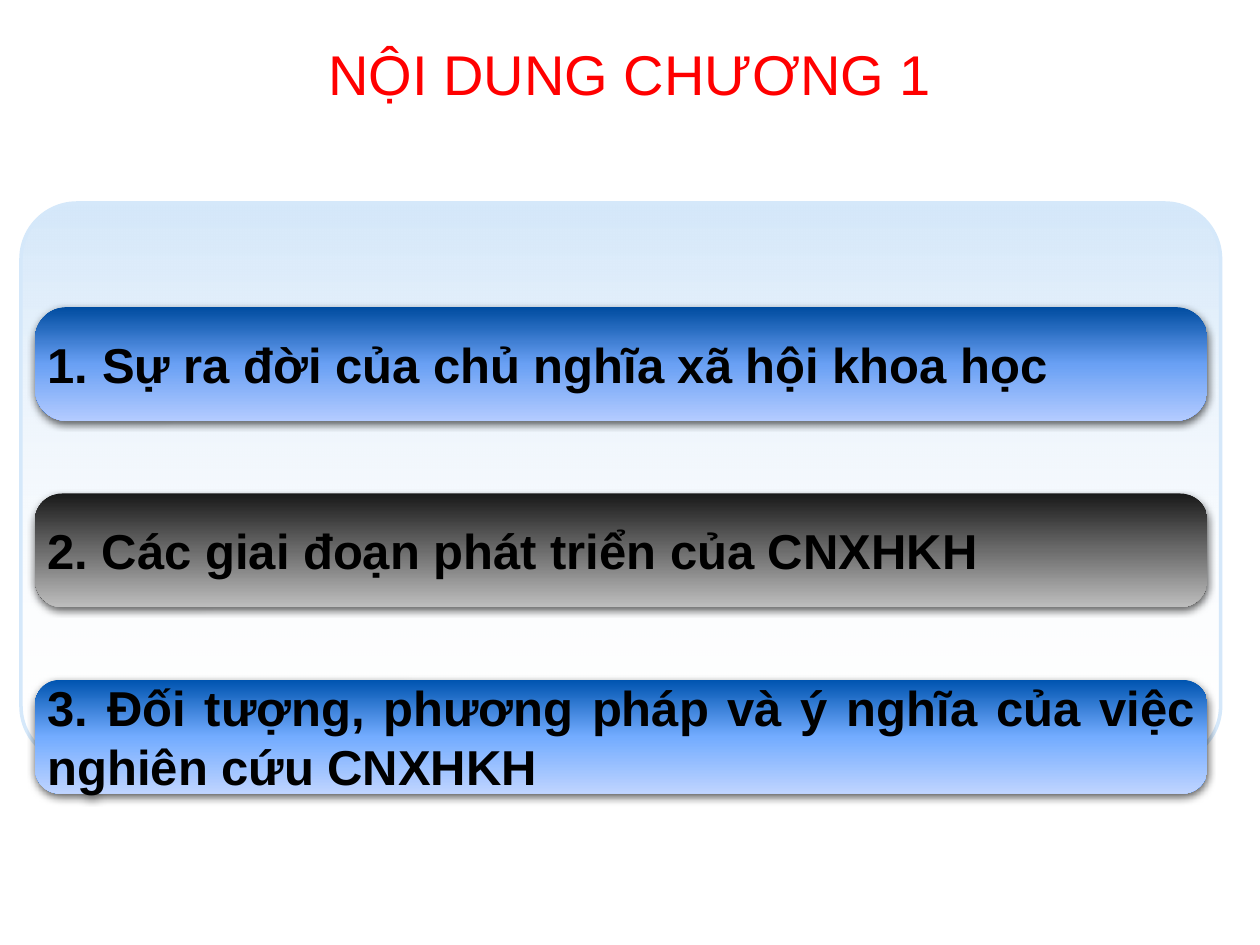
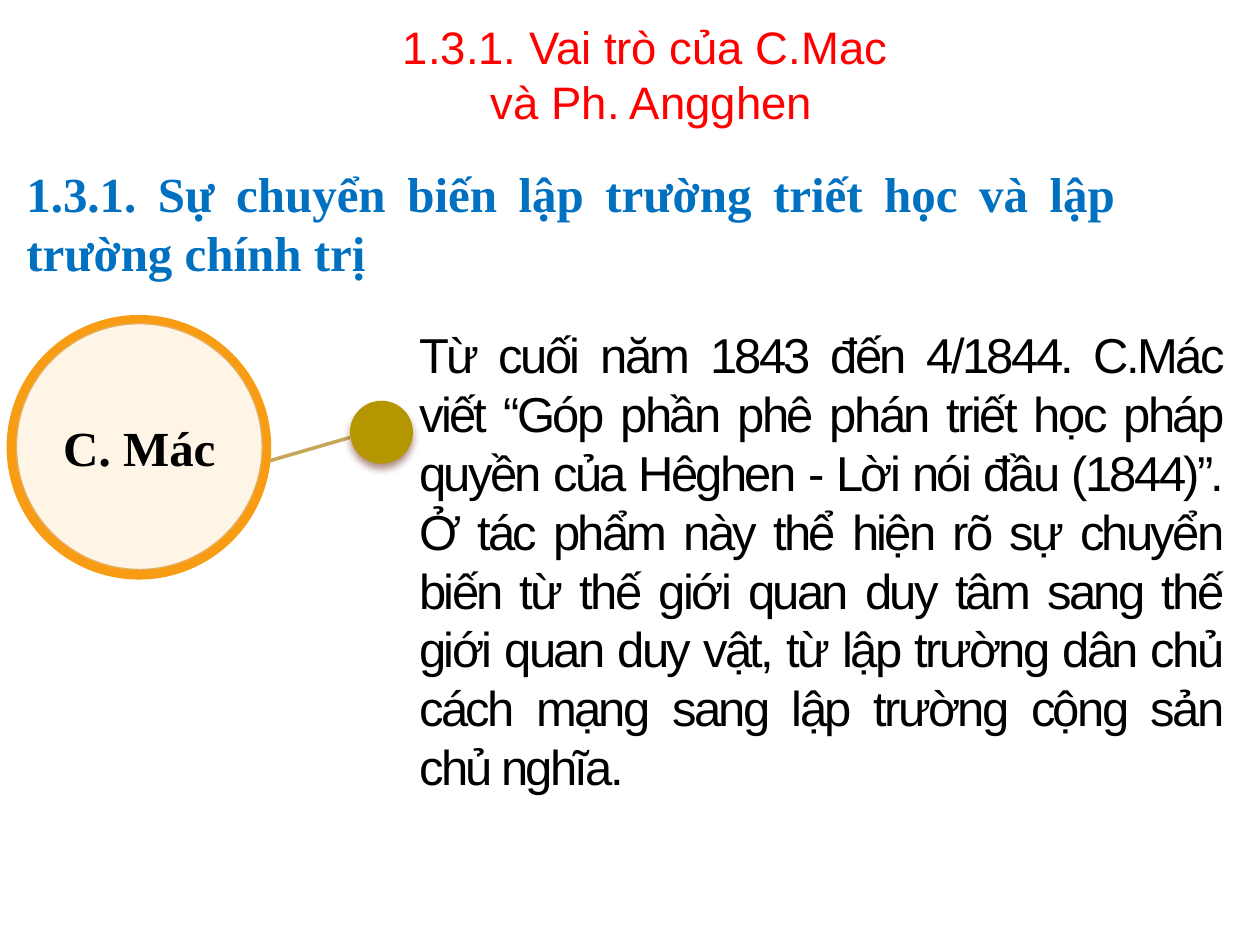
"""Build the chapter 1 outline and the slide on C. Mác."""
from dataclasses import dataclass
from typing import NamedTuple, Optional

from lxml.etree import SubElement
from pptx import Presentation
from pptx.dml.color import RGBColor
from pptx.enum.shapes import MSO_CONNECTOR, MSO_SHAPE
from pptx.enum.text import MSO_ANCHOR, MSO_AUTO_SIZE, PP_ALIGN
from pptx.oxml.ns import qn
from pptx.util import Pt


@dataclass(frozen=True)
class Theme:
    sans: str = "Arial"
    serif: str = "Times New Roman"
    title: str = "FF0000"
    heading: str = "0070C0"
    text: str = "000000"
    panel: str = "D5E8FA"
    white: str = "FFFFFF"
    ring: str = "F89C14"
    ring_edge: str = "E5AF63"
    dot: str = "B49600"
    link: str = "C5A65A"
    dot_shadow: str = "581001"
    chapter_size: int = 32
    section_size: int = 26
    body_size: int = 28


class Box(NamedTuple):
    left: float
    top: float
    width: float
    height: float

    def points(self) -> list:
        return [Pt(v) for v in self]


class Style(NamedTuple):
    font: str
    size: int
    color: str
    bold: bool = False
    align: PP_ALIGN = PP_ALIGN.JUSTIFY


class Shadow(NamedTuple):
    color: str
    opacity: int
    blur: float
    distance: float


class Topic(NamedTuple):
    text: str
    stops: tuple
    corner: float


THEME = Theme()
PILL = Box(20, 175.5, 670, 65)
PILL_STEP = 106.5
TEXT_INSET = 7.2
PILL_SHADOW = Shadow("000000", 63, 4.5, 1.5)
DOT_SHADOW = Shadow(THEME.dot_shadow, 48, 4.5, 3)
TITLE_SHADOW = Shadow("000000", 50, 4, 3)
TOPIC_STYLE = Style(THEME.sans, THEME.body_size, THEME.text, True)
TOPICS = (
    Topic("1. Sự ra đời của chủ nghĩa xã hội khoa học",
          ("004CA0", "69A0F4", "B3CBFF"), 0.28),
    Topic("2. Các giai đoạn phát triển của CNXHKH",
          ("191919", "6C6C6C", "BDBDBD"), 0.24),
    Topic("3. Đối tượng, phương pháp và ý nghĩa của việc nghiên cứu CNXHKH",
          ("0054B0", "73ACFF", "BFD4FF"), 0.22),
)
TURNING_POINT = (
    "Từ cuối năm 1843 đến 4/1844. C.Mác viết “Góp phần phê phán triết học pháp "
    "quyền của Hêghen - Lời nói đầu (1844)”. Ở tác phẩm này thể hiện rõ sự "
    "chuyển biến từ thế giới quan duy tâm sang thế giới quan duy vật, từ lập "
    "trường dân chủ cách mạng sang lập trường cộng sản chủ nghĩa."
)


def rgb(color: str) -> RGBColor:
    """Turn a hex string into a colour."""
    return RGBColor.from_string(color)


def add_color(parent, color: str, opacity: int = 100) -> None:
    """Append a colour, translucent where asked."""
    clr = SubElement(parent, qn("a:srgbClr"), val=color)
    if opacity < 100:
        SubElement(clr, qn("a:alpha"), val=str(opacity * 1000))


def add_shadow(effects, shadow: Shadow) -> None:
    """Append a shadow that falls straight down."""
    outer = SubElement(effects, qn("a:outerShdw"), blurRad=str(Pt(shadow.blur)),
                       dist=str(Pt(shadow.distance)), dir="5400000",
                       algn="ctr", rotWithShape="0")
    add_color(outer, shadow.color, shadow.opacity)


def set_gradient(sp, stops: tuple, last_opacity: int = 100) -> None:
    """Fill a shape from top to bottom with evenly spaced stops."""
    sp.fill.gradient()
    sp.fill.gradient_angle = 270
    gs_list = sp._element.spPr.find(".//" + qn("a:gsLst"))
    for gs in list(gs_list):
        gs_list.remove(gs)
    last = len(stops) - 1
    for i, color in enumerate(stops):
        gs = SubElement(gs_list, qn("a:gs"), pos=str(100000 * i // last))
        add_color(gs, color, last_opacity if i == last else 100)


def add_preset(s, kind: MSO_SHAPE, box: Box, fill: Optional[str] = None,
               line: Optional[str] = None, line_width: float = 1,
               shadow: Optional[Shadow] = None):
    """Add a preset shape with its own fill, line and shadow."""
    sp = s.shapes.add_shape(kind, *box.points())
    if fill:
        sp.fill.solid()
        sp.fill.fore_color.rgb = rgb(fill)
    if line:
        sp.line.color.rgb = rgb(line)
        sp.line.width = Pt(line_width)
    else:
        sp.line.fill.background()
    sp.shadow.inherit = False
    if shadow:
        add_shadow(sp._element.spPr.find(qn("a:effectLst")), shadow)
    return sp


def write(sp, text: str, style: Style, anchor: MSO_ANCHOR = MSO_ANCHOR.MIDDLE,
          inset_x: float = TEXT_INSET, inset_y: float = 0):
    """Write one styled paragraph and return it."""
    tf = sp.text_frame
    tf.word_wrap = True
    tf.auto_size = MSO_AUTO_SIZE.NONE
    tf.vertical_anchor = anchor
    tf.margin_left = tf.margin_right = Pt(inset_x)
    tf.margin_top = tf.margin_bottom = Pt(inset_y)
    p = tf.paragraphs[0]
    p.text = text
    p.alignment = style.align
    p.font.name = style.font
    p.font.size = Pt(style.size)
    p.font.bold = style.bold
    p.font.color.rgb = rgb(style.color)
    return p


def add_text(s, box: Box, text: str, style: Style):
    """Add a text box and return its paragraph."""
    sp = s.shapes.add_textbox(*box.points())
    return write(sp, text, style, MSO_ANCHOR.TOP, inset_y=3.6)


def add_titled_slide(prs, text: str, box: Box, size: int):
    """Add a title-only slide and return it with its title paragraph."""
    s = prs.slides.add_slide(prs.slide_layouts[5])
    sp = s.shapes.title
    sp.left, sp.top, sp.width, sp.height = box.points()
    style = Style(THEME.sans, size, THEME.title, align=PP_ALIGN.CENTER)
    return s, write(sp, text, style)


def add_topic(s, topic: Topic, row: int) -> None:
    """Add one chapter topic as a glossy bar."""
    box = PILL._replace(top=PILL.top + row * PILL_STEP)
    sp = add_preset(s, MSO_SHAPE.ROUNDED_RECTANGLE, box, shadow=PILL_SHADOW)
    sp.adjustments[0] = topic.corner
    set_gradient(sp, topic.stops)
    corner_inset = 0.29 * topic.corner * box.height
    write(sp, topic.text, TOPIC_STYLE, inset_x=TEXT_INSET - corner_inset)


def build_outline(prs) -> None:
    """Build the chapter outline."""
    s, p = add_titled_slide(prs, "NỘI DUNG CHƯƠNG 1", Box(117, 13, 486, 58),
                            THEME.chapter_size)
    r_pr = p.runs[0].font._element
    add_shadow(SubElement(r_pr, qn("a:effectLst")), TITLE_SHADOW)
    panel = add_preset(s, MSO_SHAPE.ROUNDED_RECTANGLE, Box(12, 116, 685.5, 319.5),
                       line=THEME.panel, line_width=2)
    panel.adjustments[0] = 0.1
    set_gradient(panel, (THEME.panel, THEME.white), 0)
    for row, topic in enumerate(TOPICS):
        add_topic(s, topic, row)


def build_marx(prs) -> None:
    """Build the slide on the turn in C. Mác's thought."""
    s, _ = add_titled_slide(prs, "1.3.1. Vai trò của C.Mac \vvà Ph. Angghen",
                            Box(185, 6.5, 375, 71.5), THEME.section_size)
    link = s.shapes.add_connector(MSO_CONNECTOR.STRAIGHT, Pt(153.5), Pt(263.5),
                                  Pt(200), Pt(250))
    link.line.color.rgb = rgb(THEME.link)
    link.line.width = Pt(2)
    SubElement(link._element.spPr, qn("a:effectLst"))
    add_preset(s, MSO_SHAPE.OVAL, Box(200, 229, 36, 36), THEME.dot,
               shadow=DOT_SHADOW)
    add_preset(s, MSO_SHAPE.OVAL, Box(3.8, 180, 151.2, 151.2), THEME.ring)
    disc = add_preset(s, MSO_SHAPE.OVAL, Box(9.4, 185, 140.4, 140.4), THEME.white,
                      THEME.ring_edge, 0.75)
    clr = disc._element.spPr.find(qn("a:solidFill")).find(qn("a:srgbClr"))
    SubElement(clr, qn("a:alpha"), val="90000")
    write(disc, "C. Mác", Style(THEME.serif, THEME.body_size, THEME.text, True,
                                PP_ALIGN.CENTER), inset_x=0)
    add_text(s, Box(8, 90, 636.5, 75),
             "1.3.1. Sự chuyển biến lập trường triết học và lập trường chính trị",
             Style(THEME.serif, THEME.body_size, THEME.heading, True))
    p = add_text(s, Box(232.5, 182, 473, 279), TURNING_POINT,
                 Style(THEME.sans, THEME.body_size, THEME.text))
    p.runs[0].font._element.set("spc", "-150")


def main() -> None:
    """Build and save the presentation."""
    prs = Presentation()
    prs.slide_width, prs.slide_height = Pt(720), Pt(540)
    build_outline(prs)
    build_marx(prs)
    prs.save("out.pptx")


if __name__ == "__main__":
    main()
